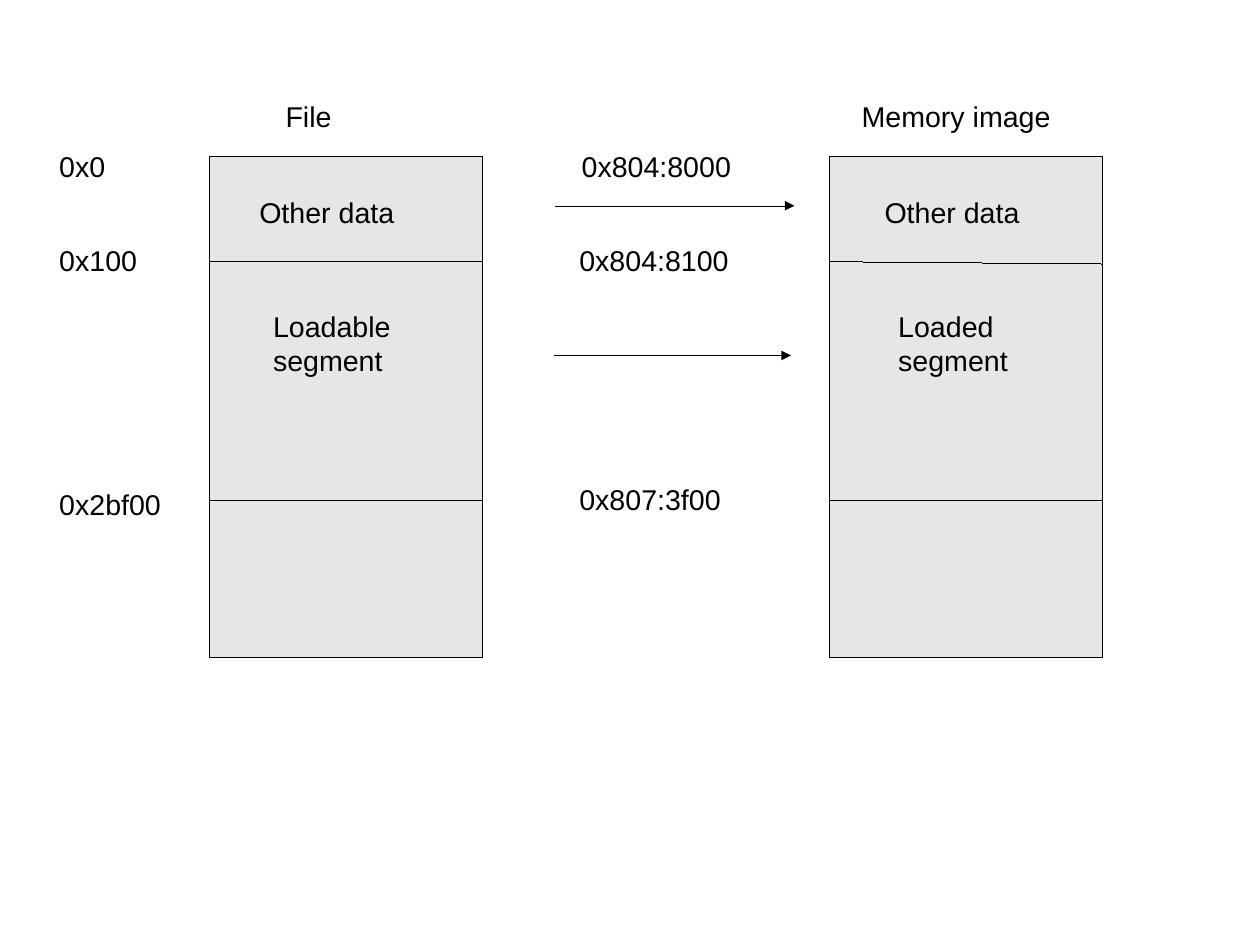
import dataclasses

import pptx
import pptx.dml.color
import pptx.enum.shapes
import pptx.enum.text
import pptx.oxml
import pptx.oxml.ns
import pptx.util


@dataclasses.dataclass(frozen=True)
class Theme:
    font: str = "Arial"
    size: int = 18
    ink: str = "000000"
    bar_fill: str = "E6E6E6"
    line_width: float = 0.01


THEME = Theme()
CELL = pptx.util.Inches(0.1)
BAR_TOP, BAR_WIDTH, BAR_HEIGHT = 13.7, 23.9, 43.8
SEGMENT_START, SEGMENT_END = 22.9, 43.8
LINE_HEIGHT, TEXT_PADDING = 2.8, 1


def cells(*counts):
    return [pptx.util.Emu(round(count * CELL)) for count in counts]


def color(code):
    return pptx.dml.color.RGBColor.from_string(code)


def style_line(line):
    line.color.rgb = color(THEME.ink)
    line.width = pptx.util.Pt(THEME.line_width)


def add_text(page, text, *, left, top, width, size=THEME.size, ink=THEME.ink):
    lines = text.split("\n")
    height = len(lines) * LINE_HEIGHT + TEXT_PADDING
    box = page.shapes.add_textbox(*cells(left, top, width, height))
    frame = box.text_frame
    frame.word_wrap = True
    frame.auto_size = pptx.enum.text.MSO_AUTO_SIZE.SHAPE_TO_FIT_TEXT
    for index, line in enumerate(lines):
        para = frame.add_paragraph() if index else frame.paragraphs[0]
        span = para.add_run()
        span.text = line
        span.font.name = THEME.font
        span.font.size = pptx.util.Pt(size)
        span.font.color.rgb = color(ink)


def add_line(page, start, end, *, arrow=False):
    connector = page.shapes.add_connector(
        pptx.enum.shapes.MSO_CONNECTOR.STRAIGHT, *cells(*start, *end)
    )
    style_line(connector.line)
    if arrow:
        head = pptx.oxml.parse_xml(
            f'<a:tailEnd {pptx.oxml.ns.nsdecls("a")} type="triangle"/>'
        )
        connector.line._get_or_add_ln().append(head)
    effects = pptx.oxml.parse_xml(f'<a:effectLst {pptx.oxml.ns.nsdecls("a")}/>')
    connector._element.spPr.append(effects)


def add_bar(page, left, *, drift=0):
    bar = page.shapes.add_shape(
        pptx.enum.shapes.MSO_SHAPE.RECTANGLE,
        *cells(left, BAR_TOP, BAR_WIDTH, BAR_HEIGHT),
    )
    bar.shadow.inherit = False
    bar.fill.solid()
    bar.fill.fore_color.rgb = color(THEME.bar_fill)
    style_line(bar.line)
    right = left + BAR_WIDTH
    add_line(page, (left, SEGMENT_START), (right, SEGMENT_START + drift))
    add_line(page, (left, SEGMENT_END), (right, SEGMENT_END))


def add_bar_labels(page, left, segment):
    add_text(page, "Other data", left=left, top=16.6, width=17.8)
    add_text(page, segment, left=left + 1.2, top=26.5, width=17.8)


def main():
    deck = pptx.Presentation()
    deck.slide_width = pptx.util.Cm(28)
    deck.slide_height = pptx.util.Cm(21)
    page = deck.slides.add_slide(deck.slide_layouts[6])

    add_bar(page, 18.3)
    add_bar(page, 72.6, drift=0.2)
    for title, left in (("File", 24), ("Memory image", 74.4)):
        add_text(page, title, left=left, top=8.2, width=28.8)
    add_bar_labels(page, 21.7, "Loadable\nsegment")
    add_bar_labels(page, 76.4, "Loaded\nsegment")

    for offset, top in (("0x0", 12.5), ("0x100", 20.8), ("0x2bf00", 42.1)):
        add_text(page, offset, left=4.2, top=top, width=12.6)
    for address, left, top in (
        ("0x804:8000", 49.9, 12.5),
        ("0x804:8100", 49.7, 20.8),
        ("0x807:3f00", 49.7, 41.7),
    ):
        add_text(page, address, left=left, top=top, width=19.2)
    for start, end, row in ((48.6, 69.5, 18), (48.5, 69.2, 31.1)):
        add_line(page, (start, row), (end, row), arrow=True)

    deck.save("out.pptx")


if __name__ == "__main__":
    main()
